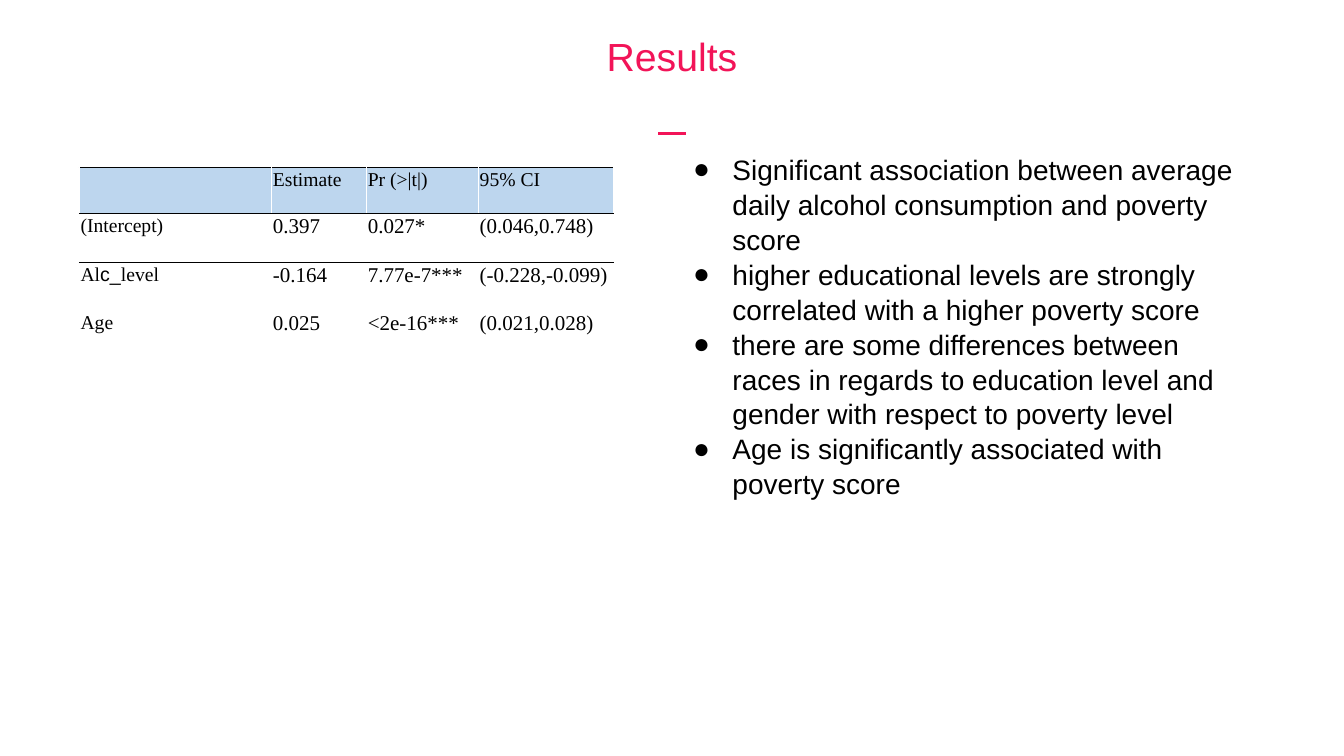
from dataclasses import dataclass

from lxml import etree
from pptx import Presentation
from pptx.dml.color import RGBColor
from pptx.enum.shapes import MSO_CONNECTOR
from pptx.enum.text import MSO_ANCHOR, PP_ALIGN
from pptx.oxml.ns import qn
from pptx.util import Cm, Pt

STRAIGHT = MSO_CONNECTOR.STRAIGHT
MIDDLE = MSO_ANCHOR.MIDDLE
TOP = MSO_ANCHOR.TOP
CENTER = PP_ALIGN.CENTER
LEFT = PP_ALIGN.LEFT


@dataclass(frozen=True)
class Theme:
    accent: str = "F21458"
    ink: str = "000000"
    header: str = "BDD6EE"
    sans: str = "Arial"
    serif: str = "Times New Roman"
    title_size: float = 28
    body_size: float = 20
    label_size: float = 14
    value_size: float = 15
    rule_width: float = 2.2
    border_width: float = 1


THEME = Theme()

COLUMN_WIDTHS = (4.85, 2.39, 2.82, 3.40)
ROW_HEIGHTS = (1.17, 1.22, 1.22, 1.22)
RULED_ROWS = 2  # rows with a line above and below
RESULTS = (
    ("", "Estimate", "Pr (>|t|)", "95% CI"),
    ("(Intercept)", "0.397", "0.027*", "(0.046,0.748)"),
    ("Alc_level", "-0.164", "7.77e-7***", "(-0.228,-0.099)"),
    ("Age", "0.025", "<2e-16***", "(0.021,0.028)"),
)
# Labels that mix two typefaces
MIXED_LABELS = {
    "Alc_level": (("Al", THEME.serif), ("c_", THEME.sans), ("level", THEME.serif)),
}
FINDINGS = (
    "Significant association between average daily alcohol consumption and poverty score",
    "higher educational levels are strongly correlated with a higher poverty score",
    "there are some differences between races in regards to education level "
    "and gender with respect to poverty level",
    "Age is significantly associated with poverty score",
)


def style_span(span, font, size, color):
    span.font.name = font
    span.font.size = Pt(size)
    span.font.color.rgb = RGBColor.from_string(color)


def add_text_box(page, left, top, width, height, inset_y, anchor):
    box = page.shapes.add_textbox(Cm(left), Cm(top), Cm(width), Cm(height))
    frame = box.text_frame
    frame.word_wrap = True
    frame.vertical_anchor = anchor
    frame.margin_left = frame.margin_right = Cm(0.25)
    frame.margin_top = frame.margin_bottom = Cm(inset_y)
    return frame


def add_bullet(para, indent, hanging):
    properties = para._p.get_or_add_pPr()
    properties.set("marL", str(Cm(indent)))
    properties.set("indent", str(-Cm(hanging)))
    color = etree.SubElement(properties, qn("a:buClr"))
    etree.SubElement(color, qn("a:srgbClr"), val=THEME.ink)
    etree.SubElement(properties, qn("a:buFont"), typeface=THEME.sans)
    etree.SubElement(properties, qn("a:buChar"), char="●")


def add_border(cell, side):
    line = etree.SubElement(cell._tc.get_or_add_tcPr(), qn(f"a:{side}"),
                            w=str(Pt(THEME.border_width)))
    fill = etree.SubElement(line, qn("a:solidFill"))
    etree.SubElement(fill, qn("a:srgbClr"), val=THEME.ink)


# Title with the short rule under it
def add_heading(page, left, top, width, height):
    frame = add_text_box(page, left, top, width, height, 0.13, MIDDLE)
    frame.text = "Results"
    para = frame.paragraphs[0]
    para.alignment = CENTER
    style_span(para.runs[0], THEME.sans, THEME.title_size, THEME.accent)

    center, rule_top, half = left + width / 2, top + 2.68, 0.35
    rule = page.shapes.add_connector(STRAIGHT, Cm(center - half), Cm(rule_top),
                                     Cm(center + half), Cm(rule_top))
    rule.line.color.rgb = RGBColor.from_string(THEME.accent)
    rule.line.width = Pt(THEME.rule_width)
    etree.SubElement(rule._element.spPr, qn("a:effectLst"))


def fill_cell(cell, text, size):
    cell.margin_left = cell.margin_right = cell.margin_top = Cm(0.03)
    cell.margin_bottom = Cm(0.13)
    cell.vertical_anchor = TOP
    para = cell.text_frame.paragraphs[0]
    if not text:
        para.font.size = Pt(size)
        return
    para.alignment = LEFT
    para.space_before = para.space_after = Pt(12)
    for part, font in MIXED_LABELS.get(text, ((text, THEME.serif),)):
        span = para.add_run()
        span.text = part
        style_span(span, font, size, THEME.ink)


# Regression table
def add_results_table(page, left, top):
    table = page.shapes.add_table(
        len(RESULTS), len(COLUMN_WIDTHS), Cm(left), Cm(top),
        Cm(sum(COLUMN_WIDTHS)), Cm(sum(ROW_HEIGHTS))).table
    table.first_row = table.horz_banding = False
    for column, width in zip(table.columns, COLUMN_WIDTHS):
        column.width = Cm(width)
    for row, height in zip(table.rows, ROW_HEIGHTS):
        row.height = Cm(height)

    for r, values in enumerate(RESULTS):
        for c, text in enumerate(values):
            cell = table.cell(r, c)
            is_label = r == 0 or c == 0
            fill_cell(cell, text, THEME.label_size if is_label else THEME.value_size)
            if r <= RULED_ROWS:
                add_border(cell, "lnT")
            if r < RULED_ROWS:
                add_border(cell, "lnB")
            if r == 0:
                cell.fill.solid()
                cell.fill.fore_color.rgb = RGBColor.from_string(THEME.header)
            else:
                cell.fill.background()


# Bulleted findings
def add_findings(page, left, top, width, height):
    frame = add_text_box(page, left, top, width, height, 0.25, TOP)
    frame.text = "\n".join(FINDINGS)
    for para in frame.paragraphs:
        para.alignment = LEFT
        para.line_spacing = 1.04
        add_bullet(para, 1.27, 0.99)
        style_span(para.runs[0], THEME.sans, THEME.body_size, THEME.ink)


def main():
    deck = Presentation()
    deck.slide_width, deck.slide_height = Cm(33.87), Cm(19.05)
    page = deck.slides.add_slide(deck.slide_layouts[6])
    add_heading(page, 14.98, 0.69, 3.91, 1.45)
    add_findings(page, 16.94, 3.56, 14.94, 7.11)
    add_results_table(page, 2.0, 4.22)
    deck.save("out.pptx")


if __name__ == "__main__":
    main()
